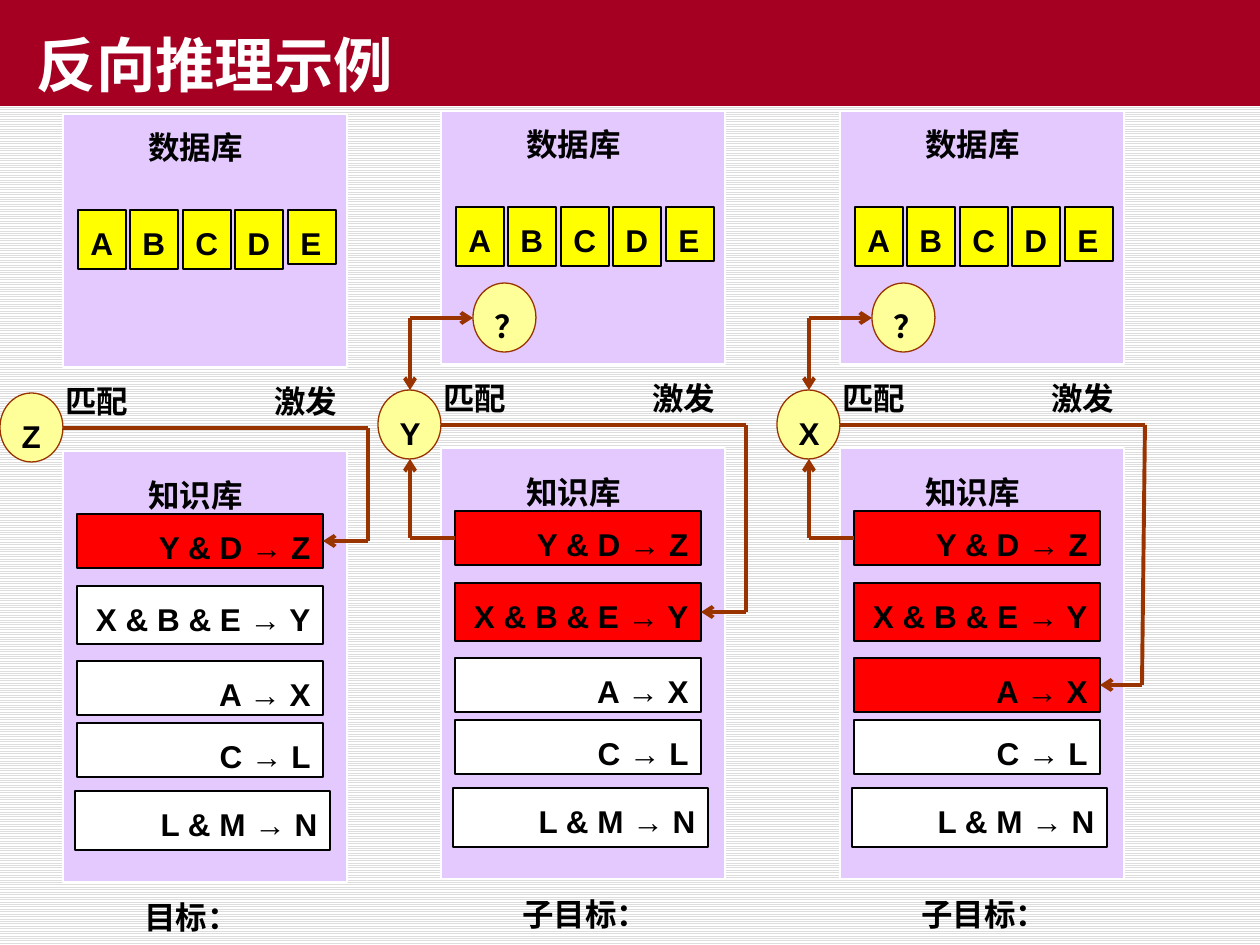
"""Build the backward-chaining example slide: three search steps side by side."""
from dataclasses import dataclass
from typing import Optional

from lxml import etree
from pptx import Presentation
from pptx import util as u
from pptx.dml.color import RGBColor
from pptx.enum import dml, shapes, text
from pptx.oxml.ns import qn

PX = u.Inches(10) / 1260
FONT = "Arial"
BLACK = RGBColor(0x00, 0x00, 0x00)
WHITE = RGBColor(0xFF, 0xFF, 0xFF)
STRIPE = RGBColor(0xDD, 0xDD, 0xDD)
CRIMSON = RGBColor(0xA5, 0x00, 0x21)
LILAC = RGBColor(0xE4, 0xC9, 0xFF)
YELLOW = RGBColor(0xFF, 0xFF, 0x00)
CREAM = RGBColor(0xFF, 0xFF, 0x99)
RED = RGBColor(0xFF, 0x00, 0x00)
BROWN = RGBColor(0x99, 0x33, 0x00)
RECT, OVAL = shapes.MSO_SHAPE.RECTANGLE, shapes.MSO_SHAPE.OVAL
LEFT, RIGHT = text.PP_ALIGN.LEFT, text.PP_ALIGN.RIGHT


@dataclass(frozen=True)
class Box:
    x: int
    y: int
    w: int
    h: int

    @property
    def middle(self) -> int:
        return self.y + self.h // 2


@dataclass(frozen=True)
class Label:
    wording: str
    box: Box


@dataclass(frozen=True)
class Step:
    x: int
    y: int
    goal: str
    caption: str
    caption_width: int
    fired: int
    elbow: int
    is_subgoal: bool


FACTS = "ABCDE"
DATABASE = Box(63, 114, 284, 253)
KNOWLEDGE = Box(63, 451, 284, 431)
GOAL = Box(0, 393, 63, 69)
QUESTION = Box(95, 286, 63, 69)
GOAL_AXIS = 32
ELBOW_TOP = 368
RULES = [
    Label("Y & D → Z", Box(77, 514, 246, 54)),
    Label("X & B & E → Y", Box(77, 586, 246, 58)),
    Label("A → X", Box(77, 661, 246, 54)),
    Label("C → L", Box(77, 723, 246, 54)),
    Label("L & M → N", Box(75, 791, 255, 59)),
]
LABELS = [
    Label("数据库", Box(136, 114, 122, 54)),
    Label("知识库", Box(136, 462, 122, 54)),
    Label("匹配", Box(53, 368, 90, 54)),
    Label("激发", Box(262, 368, 90, 54)),
]
STEPS = [
    Step(0, 0, "Z", "目标：", 141, 0, 368, False),
    Step(378, -3, "Y", "子目标：", 175, 1, 368, True),
    Step(777, -3, "X", "子目标：", 175, 2, 365, True),
]


def emu(px: int) -> int:
    return round(px * PX)


def place(step: Step, box: Box) -> list[int]:
    return [emu(v) for v in (step.x + box.x, step.y + box.y, box.w, box.h)]


def write(frame, wording: str, align=LEFT) -> None:
    frame.text = wording
    frame.word_wrap = True
    frame.vertical_anchor = text.MSO_ANCHOR.TOP
    paragraph = frame.paragraphs[0]
    paragraph.alignment = align
    paragraph.line_spacing = 1.2
    font = paragraph.runs[0].font
    font.name, font.size, font.bold = FONT, u.Pt(18), True
    font.color.rgb = BLACK


def draw_shape(slide, step: Step, box: Box, fill: RGBColor, outline: RGBColor,
               kind=RECT, wording: str = "", align=LEFT):
    shape = slide.shapes.add_shape(kind, *place(step, box))
    shape.shadow.inherit = False
    shape.fill.solid()
    shape.fill.fore_color.rgb = fill
    shape.line.color.rgb = outline
    shape.line.width = u.Pt(0.75)
    if wording:
        write(shape.text_frame, wording, align)
    return shape


def draw_label(slide, step: Step, label: Label) -> None:
    textbox = slide.shapes.add_textbox(*place(step, label.box))
    write(textbox.text_frame, label.wording)


def draw_line(slide, step: Step, start: tuple[int, int], end: tuple[int, int],
              arrow: bool = False, leaves: Optional[object] = None,
              enters: Optional[object] = None) -> None:
    (x1, y1), (x2, y2) = start, end
    line = slide.shapes.add_connector(
        shapes.MSO_CONNECTOR.STRAIGHT, emu(step.x + x1), emu(step.y + y1),
        emu(step.x + x2), emu(step.y + y2))
    line.line.color.rgb = BROWN
    line.line.width = u.Pt(2.25)
    properties = line.element.spPr
    if arrow:
        etree.SubElement(properties.find(qn("a:ln")), qn("a:tailEnd"), type="arrow")
    etree.SubElement(properties, qn("a:effectLst"))
    if leaves is not None:
        line.begin_connect(leaves, 1)
    if enters is not None:
        line.end_connect(enters, 3)


def draw_step(slide, step: Step) -> None:
    for panel in (DATABASE, KNOWLEDGE):
        draw_shape(slide, step, panel, LILAC, WHITE)
    for i, fact in enumerate(FACTS):
        height = 54 if fact == FACTS[-1] else 59
        cell = Box(78 + 105 * i // 2, 210, 48, height)
        draw_shape(slide, step, cell, YELLOW, BLACK, wording=fact)
    rules = [draw_shape(slide, step, rule.box, RED if i <= step.fired else WHITE,
                        BLACK, wording=rule.wording, align=RIGHT)
             for i, rule in enumerate(RULES)]
    caption = Label(step.caption, Box(132, 884, step.caption_width, 54))
    for label in LABELS + [caption]:
        draw_label(slide, step, label)

    fired = RULES[step.fired].box
    corner, foot = (ELBOW_TOP, GOAL.middle + 1), (step.elbow, fired.middle)
    draw_line(slide, step, corner, (GOAL.x + GOAL.w, GOAL.middle + 1))
    draw_line(slide, step, corner, foot)
    draw_line(slide, step, foot, (fired.x + fired.w, fired.middle), True,
              enters=rules[step.fired])
    draw_shape(slide, step, GOAL, CREAM, BROWN, OVAL, step.goal)

    if step.is_subgoal:
        first = RULES[0].box
        turn = (GOAL_AXIS, first.middle)
        unknown = (GOAL_AXIS, QUESTION.middle + 1)
        draw_line(slide, step, (first.x, first.middle), turn, leaves=rules[0])
        draw_line(slide, step, turn, (GOAL_AXIS, GOAL.y + GOAL.h), True)
        draw_line(slide, step, unknown, (GOAL_AXIS, GOAL.y), True)
        draw_line(slide, step, unknown, (QUESTION.x, QUESTION.middle + 1), True)
        draw_shape(slide, step, QUESTION, CREAM, BROWN, OVAL, "？")


def draw_title(slide, wording: str) -> None:
    title = slide.shapes.title
    title.left, title.top, title.width, title.height = 0, 0, emu(1260), emu(106)
    title.fill.solid()
    title.fill.fore_color.rgb = CRIMSON
    frame = title.text_frame
    frame.text = wording
    frame.vertical_anchor = text.MSO_ANCHOR.BOTTOM
    paragraph = frame.paragraphs[0]
    paragraph.alignment = LEFT
    font = paragraph.runs[0].font
    font.name, font.size, font.bold = FONT, u.Pt(34), True
    font.color.rgb = WHITE
    indents = paragraph._p.get_or_add_pPr()
    indents.set("marL", "0")
    indents.set("indent", str(emu(24)))


def main() -> None:
    deck = Presentation()
    deck.slide_width, deck.slide_height = emu(1260), emu(945)
    slide = deck.slides.add_slide(deck.slide_layouts[5])
    backdrop = slide.background.fill
    backdrop.patterned()
    backdrop.pattern = dml.MSO_PATTERN.LIGHT_HORIZONTAL
    backdrop.fore_color.rgb, backdrop.back_color.rgb = STRIPE, WHITE
    draw_title(slide, "反向推理示例")
    for step in STEPS:
        draw_step(slide, step)
    deck.save("out.pptx")


if __name__ == "__main__":
    main()
